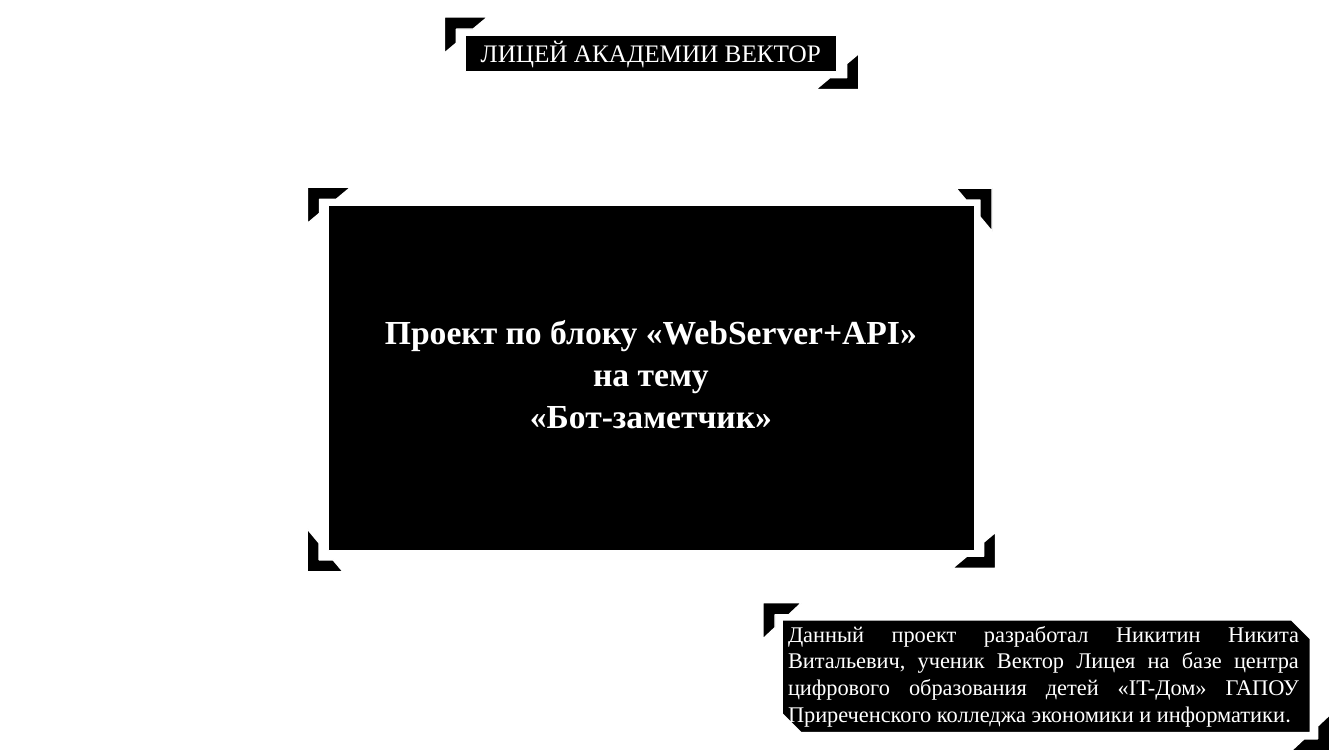
from dataclasses import dataclass

from pptx import Presentation
from pptx.dml.color import RGBColor
from pptx.enum.shapes import MSO_SHAPE as Shape
from pptx.enum.text import MSO_ANCHOR as Anchor, MSO_AUTO_SIZE as AutoSize, PP_ALIGN as Align
from pptx.util import Cm, Pt

COLORS = {"panel": "000000", "outline": "FFFFFF", "text": "FFFFFF"}
SERIF, SANS = "Times New Roman", "Calibri"
CORNER_HEIGHT = 0.91


@dataclass(frozen=True)
class Block:
    """A black shape outlined in white; lengths in centimetres."""
    kind: Shape
    left: float
    top: float
    width: float
    height: float
    rotation: int = 0


def corner(left: float, top: float, rotation: int = 0, width: float = 1.09) -> Block:
    return Block(Shape.HALF_FRAME, left, top, width, CORNER_HEIGHT, rotation)


PANELS = [
    Block(Shape.SNIP_2_DIAG_RECTANGLE, 19.71, 15.62, 13.31, 2.84),
    Block(Shape.RECTANGLE, 8.28, 5.18, 16.28, 8.69),
    Block(Shape.RECTANGLE, 11.73, 0.89, 9.35, 0.91),
]
CORNERS = [
    corner(24, 4.83, 90),
    corner(20.55, 1.35, 180),
    corner(7.75, 4.72),
    corner(24, 13.41, 180),
    corner(11.2, 0.43),
    corner(7.65, 13.41, 270),
    corner(19.23, 15.19, width=0.97),
    corner(32.54, 18.01, 180, width=0.97),
]

HEADER = "ЛИЦЕЙ АКАДЕМИИ ВЕКТОР"
TOPIC = ["Проект по блоку «WebServer+API»", "на тему", "«Бот-заметчик»"]
AUTHOR = (
    "Данный проект разработал Никитин Никита Витальевич, ученик Вектор Лицея "
    "на базе центра цифрового образования детей «IT-Дом» ГАПОУ "
    "Приреченского колледжа экономики и информатики"
)


def rgb(name: str) -> RGBColor:
    return RGBColor.from_string(COLORS[name])


def set_format(target, **values) -> None:
    for name, value in values.items():
        setattr(target, name, value)


def add_block(slide, block: Block) -> None:
    sp = slide.shapes.add_shape(
        block.kind, *map(Cm, (block.left, block.top, block.width, block.height)))
    sp.rotation = block.rotation
    sp.shadow.inherit = False
    sp.fill.solid()
    sp.fill.fore_color.rgb = rgb("panel")
    sp.line.color.rgb = rgb("outline")
    sp.line.width = Pt(1)


def add_run(p, text: str, size: int, font: str = SERIF, bold: bool = False) -> None:
    r = p.add_run()
    r.text = text
    set_format(r.font, name=font, size=Pt(size), bold=bold)
    r.font.color.rgb = rgb("text")


def place_title(slide) -> None:
    """Put the header and the topic in the title, in front of the panels."""
    sp = slide.shapes.title
    set_format(sp, left=Cm(1.85), top=Cm(0.38), width=Cm(29.11), height=Cm(17.63))
    slide.shapes._spTree.append(sp._element)
    tf = sp.text_frame
    set_format(tf, word_wrap=True, auto_size=AutoSize.NONE,
               vertical_anchor=Anchor.TOP, margin_top=Cm(0.57))
    p = tf.paragraphs[0]
    set_format(p, alignment=Align.CENTER, line_spacing=1.0, space_before=Pt(0))
    add_run(p, HEADER, 18)
    for i, line in enumerate(TOPIC):
        p = tf.add_paragraph()
        set_format(p, alignment=Align.CENTER, line_spacing=1.05,
                   space_before=Pt(0 if i else 172))
        add_run(p, line, 24, bold=True)


def add_author(slide) -> None:
    sp = slide.shapes.add_textbox(Cm(19.61), Cm(15.49), Cm(13.39), Cm(3.56))
    tf = sp.text_frame
    tf.word_wrap = True
    p = tf.paragraphs[0]
    p.alignment = Align.JUSTIFY
    add_run(p, AUTHOR, 16)
    add_run(p, ".", 16, SANS)


def main() -> None:
    prs = Presentation()
    set_format(prs, slide_width=Cm(33.87), slide_height=Cm(19.05))
    slide = prs.slides.add_slide(prs.slide_layouts[5])
    for panel in PANELS:
        add_block(slide, panel)
    place_title(slide)
    add_author(slide)
    for frame in CORNERS:
        add_block(slide, frame)
    prs.save("out.pptx")


if __name__ == "__main__":
    main()
